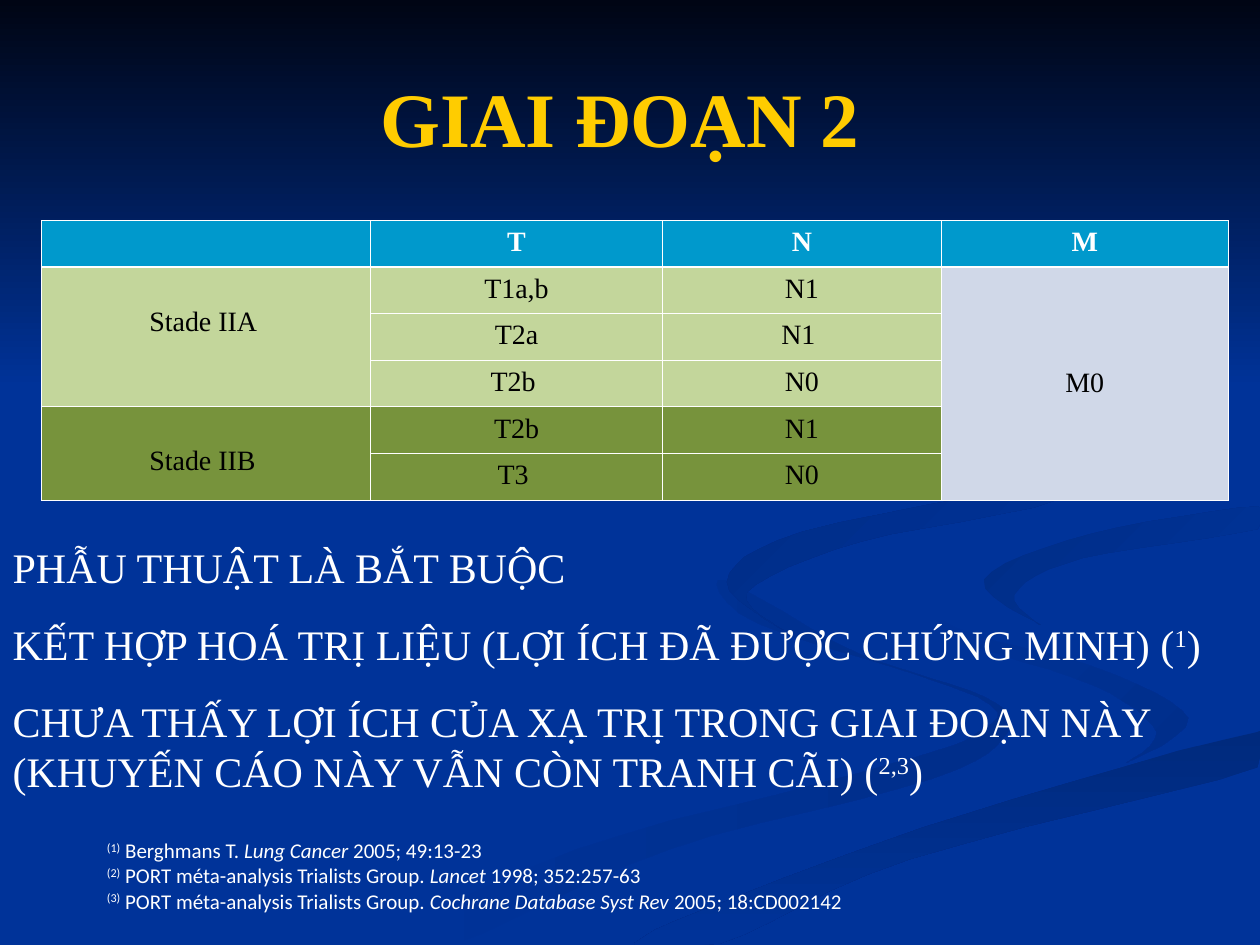
"""Build the slide on stage 2: TNM table, treatment statements and references."""
from lxml import etree
from pptx import Presentation
from pptx import util as u
from pptx.dml.color import RGBColor
from pptx.enum import shapes, text
from pptx.oxml import ns

PX = 9144
W, H = 1000, 750
SERIF, SANS = "Times New Roman", "Calibri"
C = {"bg": "003399", "night": "000514", "shade": "002E8B", "deep": "002A7D",
     "mid": "002D86", "curl": "002B82", "gold": "FFCC00", "white": "FFFFFF",
     "black": "000000", "head": "0099CC", "iia": "C3D69B", "iib": "77933C", "m": "D0D8E8"}

TITLE = "GIAI ĐOẠN 2 "
ROWS = [["", "T", "N", "M"],
        ["Stade IIA ", "T1a,b", "N1", "M0"],
        ["", "T2a", "N1 ", ""],
        ["", "T2b ", "N0", ""],
        ["Stade IIB ", "T2b", "N1", ""],
        ["", "T3 ", "N0", ""]]
ROW_FILLS = ["head", "iia", "iia", "iia", "iib", "iib"]
MERGES = [((1, 0), (3, 0)), ((4, 0), (5, 0)), ((1, 3), (5, 3))]
COLS, ROW_H = [261, 232, 221, 228], 37

STATEMENTS = [
    [("PHẪU THUẬT LÀ BẮT BUỘC", "")],
    [("KẾT HỢP HOÁ TRỊ LIỆU (LỢI ÍCH ĐÃ ĐƯỢC CHỨNG MINH) (", ""), ("1", "sup"), (")", "")],
    [("CHƯA THẤY LỢI ÍCH CỦA XẠ TRỊ TRONG GIAI ĐOẠN NÀY "
      "(KHUYẾN CÁO NÀY VẪN CÒN TRANH CÃI) (", ""), ("2,3", "sup"), (")", "")]]
REFERENCES = [
    [("(1)", "sup"), (" Berghmans T. ", ""), ("Lung Cancer", "i"), (" 2005; 49:13-23", "")],
    [("(2)", "sup"), (" PORT méta-analysis Trialists Group. ", ""), ("Lancet", "i"),
     (" 1998; 352:257-63", "")],
    [("(3)", "sup"), (" PORT méta-analysis Trialists Group. ", ""),
     ("Cochrane Database Syst Rev ", "i"), ("2005; 18:CD002142", "")]]

SWOOSHES = [
    ("bg", "shade", 0, [
        (781, 553), (682, 519), (575, 460), (602, 495), (776, 553), (774, 583), (684, 613),
        (458, 674), (300, 749), (361, 749), (532, 674), (740, 618), (800, 581)]),
    ("bg", "shade", 45, [
        (943, 570), (870, 530), (758, 498), (724, 464), (755, 505), (868, 544), (918, 581),
        (894, 605)]),
    ("deep", "bg", 90, [
        (503, 749), (571, 749), (722, 682), (998, 609), (998, 581), (764, 647), (599, 706)]),
    ("mid", "bg", 45, [
        (781, 460), (826, 496), (805, 472), (859, 443), (998, 420), (998, 402), (865, 424)]),
    ("curl", "bg", 45, [
        (683, 430), (841, 396), (894, 344), (843, 275), (762, 233), (846, 279), (889, 335),
        (842, 378), (637, 422), (577, 462), (622, 500), (593, 470)])]


def rgb(name):
    return RGBColor.from_string(C[name])


def px(*lengths):
    return [n * PX for n in lengths]


def style(font, name, size, color, bold=False):
    font.name, font.size, font.bold = name, u.Pt(size), bold
    font.color.rgb = rgb(color)


def smooth_outline(points, steps=6):
    """Return a closed Catmull-Rom curve through the points, kept on the slide."""
    n, curve = len(points), []
    for i in range(n):
        corners = [points[(i + k) % n] for k in (-1, 0, 1, 2)]
        for step in range(steps):
            t = step / steps
            x, y = [(2 * b + (c - a) * t + (2 * a - 5 * b + 4 * c - d) * t ** 2
                     + (3 * b - a - 3 * c + d) * t ** 3) / 2 for a, b, c, d in zip(*corners)]
            curve.append((min(x, W), min(y, H)))
    return curve


def shade(s, sp, index, start, end, angle):
    sp.shadow.inherit = False
    sp.line.fill.background()
    sp.fill.gradient()
    sp.fill.gradient_angle = (360 - angle) % 360
    for stop, color, pos in zip(sp.fill.gradient_stops, (start, end), (0, 1)):
        stop.color.rgb, stop.position = rgb(color), pos
    s.shapes._spTree.insert(2 + index, sp._element)


def add_backdrop(s):
    s.background.fill.solid()
    s.background.fill.fore_color.rgb = rgb("bg")
    for i, (start, end, angle, points) in enumerate(SWOOSHES):
        curve = smooth_outline(points)
        fb = s.shapes.build_freeform(*curve[0], scale=PX)
        fb.add_line_segments(curve[1:], close=True)
        shade(s, fb.convert_to_shape(), i, start, end, angle)
    sky = s.shapes.add_shape(shapes.MSO_SHAPE.RECTANGLE, *px(0, 0, W, 308))
    shade(s, sky, len(SWOOSHES), "night", "bg", 90)


def place(sp, *box):
    sp.left, sp.top, sp.width, sp.height = px(*box)
    sp.text_frame.word_wrap = True
    sp.text_frame.auto_size = text.MSO_AUTO_SIZE.NONE


def write(tf, paragraphs, name, size, gap):
    for i, parts in enumerate(paragraphs):
        p = tf.paragraphs[0] if i == 0 else tf.add_paragraph()
        pPr = p._p.get_or_add_pPr()
        pPr.set("marL", "0")
        pPr.set("indent", "0")
        etree.SubElement(pPr, ns.qn("a:buNone"))
        p.space_before = u.Pt(gap if i else 0)
        for words, kind in parts:
            r = p.add_run()
            r.text = words
            style(r.font, name, size, "white")
            r.font.italic = kind == "i"
            if kind == "sup":
                r._r.get_or_add_rPr().set("baseline", "30000")


def add_borders(cell, row):
    tcPr = cell._tc.get_or_add_tcPr()
    thick = {"T": row == 1, "B": row == 0}
    for i, side in enumerate("LRTB"):
        ln = etree.Element(ns.qn(f"a:ln{side}"), w=str(u.Pt(1.47 if thick.get(side) else 0.45)))
        fill = etree.SubElement(ln, ns.qn("a:solidFill"))
        etree.SubElement(fill, ns.qn("a:srgbClr"), val=C["white"])
        tcPr.insert(i, ln)


def add_stage_table(s):
    frame = s.shapes.add_table(len(ROWS), len(COLS), *px(33, 175, sum(COLS), ROW_H * len(ROWS)))
    table = frame.table
    table.first_row = table.horz_banding = False
    for col, width in zip(table.columns, COLS):
        col.width = width * PX
    for i, row in enumerate(ROWS):
        table.rows[i].height = ROW_H * PX
        for j, words in enumerate(row):
            cell = table.cell(i, j)
            cell.fill.solid()
            cell.fill.fore_color.rgb = rgb("m" if i and j == 3 else ROW_FILLS[i])
            add_borders(cell, i)
            cell.margin_top = (31 if words.startswith("Stade") else 5) * PX
            if i and j == 3:
                cell.vertical_anchor = text.MSO_ANCHOR.MIDDLE
            p = cell.text_frame.paragraphs[0]
            p.text = words
            p.alignment = text.PP_ALIGN.CENTER
            for item in (p, *p.runs):
                style(item.font, SERIF, 16, "black" if i else "white", i == 0)
    for first, last in MERGES:
        table.cell(*first).merge(table.cell(*last))


def main():
    prs = Presentation()
    prs.slide_width, prs.slide_height = px(W, H)
    s = prs.slides.add_slide(prs.slide_layouts[1])
    title, body = s.placeholders
    add_backdrop(s)

    place(title, 50, 30, 900, 125)
    title.text_frame.text = TITLE
    title.text_frame.vertical_anchor = text.MSO_ANCHOR.MIDDLE
    p = title.text_frame.paragraphs[0]
    p.alignment = text.PP_ALIGN.CENTER
    style(p.runs[0].font, SERIF, 44, "gold", True)

    add_stage_table(s)
    place(body, 0, 425, W, 273)
    write(body.text_frame, STATEMENTS, SERIF, 24, 15)
    box = (75, 660, 925, 90)
    references = s.shapes.add_textbox(*px(*box))
    place(references, *box)
    write(references.text_frame, REFERENCES, SANS, 12, 0)
    prs.save("out.pptx")


if __name__ == "__main__":
    main()
